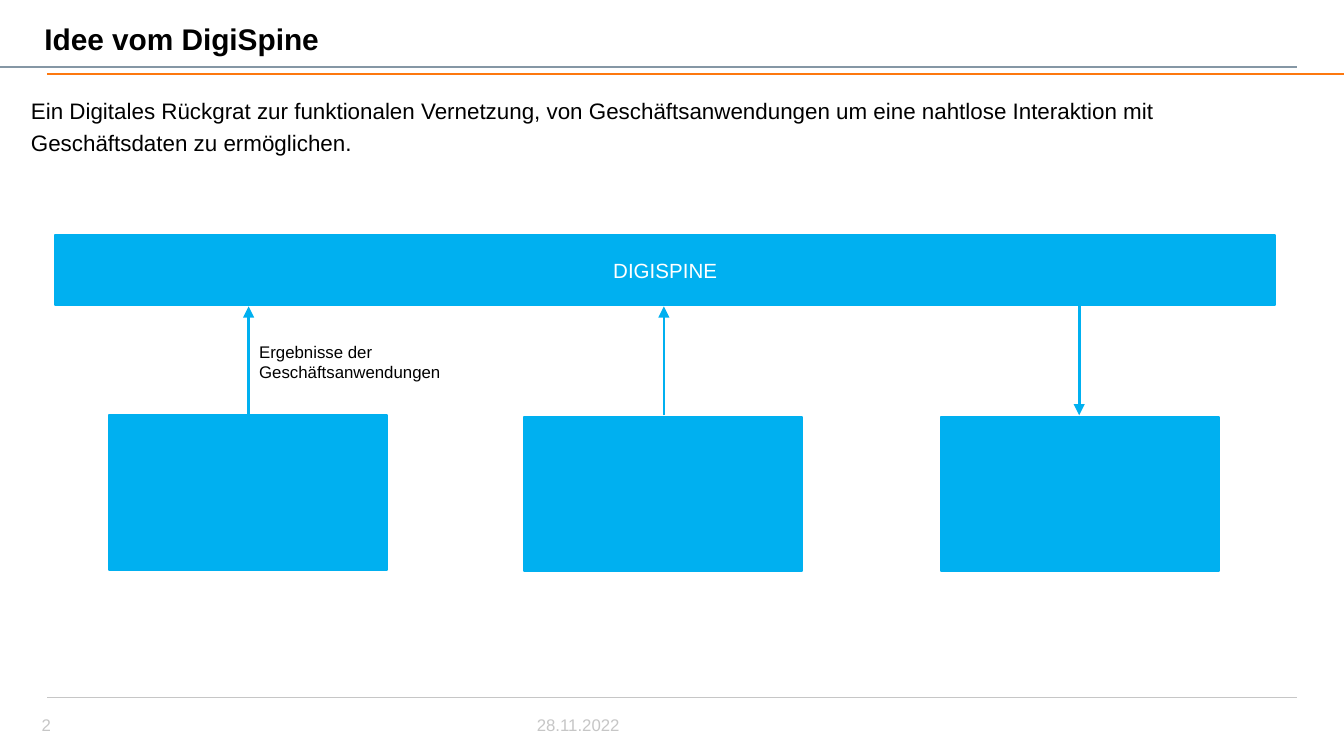
"""Builds the DigiSpine overview slide."""
from lxml import etree
from pptx import Presentation
from pptx.dml.color import RGBColor
from pptx.enum.shapes import MSO_CONNECTOR, MSO_SHAPE
from pptx.enum.text import MSO_ANCHOR, MSO_AUTO_SIZE, PP_ALIGN
from pptx.oxml.ns import qn
from pptx.util import Inches, Pt

BLUE, GREY = "00B0F0", "C6C6C6"


def write(sp, text, size, color, align=PP_ALIGN.LEFT, anchor=MSO_ANCHOR.MIDDLE,
          bold=False, inset=(0.07, 0.04)):
    tf = sp.text_frame
    tf.text = text
    tf.word_wrap = True
    tf.auto_size = MSO_AUTO_SIZE.NONE
    tf.vertical_anchor = anchor
    tf.margin_left = tf.margin_right = Inches(inset[0])
    tf.margin_top = tf.margin_bottom = Inches(inset[1])
    p = tf.paragraphs[0]
    p.alignment = align
    p.space_before = Pt(0)
    font = p.runs[0].font
    font.name, font.size, font.bold = "Arial", Pt(size), bold
    font.color.rgb = RGBColor.from_string(color)
    return p


def add_line(x1, y1, x2, y2, color, width, arrow=None):
    line = s.shapes.add_connector(
        MSO_CONNECTOR.STRAIGHT, Inches(x1), Inches(y1), Inches(x2), Inches(y2))
    line.line.color.rgb = RGBColor.from_string(color)
    line.line.width = Pt(width)
    if arrow:
        etree.SubElement(line.line._get_or_add_ln(), qn(arrow), type="triangle")
    etree.SubElement(line._element.spPr, qn("a:effectLst"))


prs = Presentation()
prs.slide_width = Inches(10)
prs.slide_height = prs.slide_width * 9 // 16
s = prs.slides.add_slide(prs.slide_layouts[1])

add_line(0, 0.5, 9.65, 0.5, "8597A5", 1)
add_line(0.35, 0.55, 10, 0.55, "FD780F", 1)
add_line(0.35, 5.19, 9.65, 5.19, GREY, 0.5)

title, body = s.shapes.title, s.placeholders[1]
for sp, box in ((title, (0.26, 0.11, 9.39, 0.35)), (body, (0.16, 0.64, 8.55, 0.77))):
    sp.left, sp.top, sp.width, sp.height = map(Inches, box)
write(title, "Idee vom DigiSpine", 16, "000000", bold=True)
p = write(body, "Ein Digitales Rückgrat zur funktionalen Vernetzung, von "
          "Geschäftsanwendungen um eine nahtlose Interaktion mit "
          "Geschäftsdaten zu ermöglichen.", 12, "000000", anchor=MSO_ANCHOR.TOP)
p.line_spacing = Pt(17.2)
pPr = p._p.get_or_add_pPr()
pPr.set("marL", "0")
pPr.set("indent", "0")
etree.SubElement(pPr, qn("a:buNone"))

spine = (0.41, 1.75, 9.08, 0.52, "DIGISPINE")
apps = [(x, y, 2.07, 1.15, "") for x, y in ((0.81, 3.09), (3.9, 3.1), (7, 3.1))]
for x, y, w, h, text in [spine, *apps]:
    sp = s.shapes.add_shape(
        MSO_SHAPE.RECTANGLE, Inches(x), Inches(y), Inches(w), Inches(h))
    sp.shadow.inherit = False
    sp.fill.solid()
    sp.fill.fore_color.rgb = RGBColor.from_string(BLUE)
    sp.line.color.rgb = RGBColor.from_string(BLUE)
    sp.line.width = Pt(1)
    if text:
        write(sp, text, 11, "FFFFFF", PP_ALIGN.CENTER)

for i, arrow in enumerate(("a:tailEnd", "a:tailEnd", "a:headEnd")):
    x = 1.85 + i * 3.09
    add_line(x, 3.09, x, 2.28, BLUE, 1.5, arrow)

labels = [
    ((1.83, 2.49, 1.56, 0.4), "Ergebnisse der Geschäftsanwendungen", "000000",
     PP_ALIGN.LEFT, MSO_ANCHOR.TOP, (0.1, 0.05)),
    ((0.24, 5.27, 0.57, 0.24), "2", GREY,
     PP_ALIGN.LEFT, MSO_ANCHOR.MIDDLE, (0.07, 0.04)),
    ((3.9, 5.27, 0.78, 0.24), "28.11.2022", GREY,
     PP_ALIGN.RIGHT, MSO_ANCHOR.MIDDLE, (0.07, 0.04)),
]
for box, text, color, align, anchor, inset in labels:
    sp = s.shapes.add_textbox(*map(Inches, box))
    write(sp, text, 9, color, align, anchor, inset=inset)

prs.save("out.pptx")
